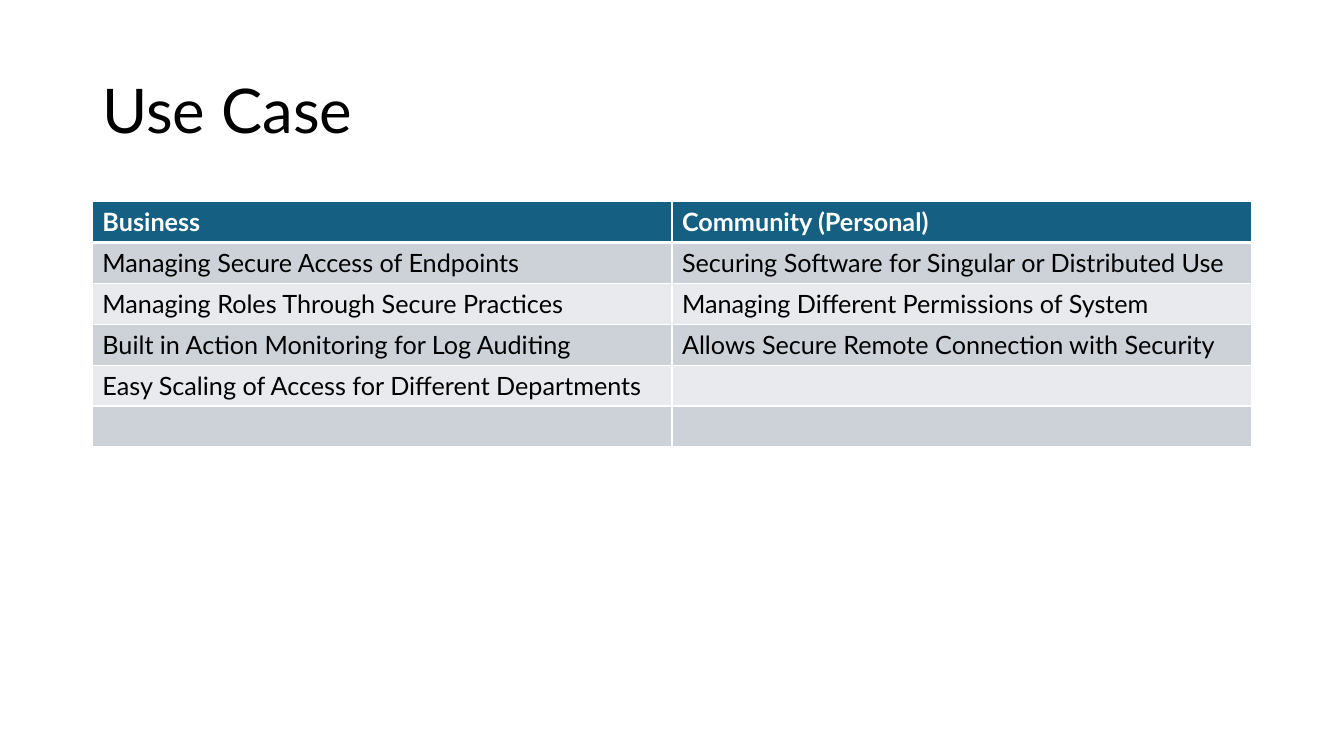
from dataclasses import dataclass

from lxml.etree import SubElement
from pptx import Presentation
from pptx.dml.color import RGBColor
from pptx.enum.text import MSO_ANCHOR, MSO_AUTO_SIZE, PP_ALIGN
from pptx.oxml.ns import qn
from pptx.slide import Slide
from pptx.table import _Cell as Cell
from pptx.text.text import _Paragraph as Paragraph
from pptx.util import Inches, Pt

PAGE_WIDTH, PAGE_HEIGHT = Inches(13.333), Inches(7.5)
LEFT, WIDTH = 0.06875, 0.8625
TITLE_TOP, TITLE_HEIGHT = 0.0533, 0.1933
TABLE_TOP, ROW_HEIGHT = 0.2667, 0.0541
FONT = "Lato"
BLACK, WHITE = "000000", "FFFFFF"


@dataclass(frozen=True)
class RowStyle:
    """Look of one kind of table row."""

    fill: str
    ink: str = BLACK
    bold: bool = False
    bottom_line: float = 1


@dataclass(frozen=True)
class UseCase:
    """One table row: a business use beside a personal one."""

    business: str = ""
    community: str = ""


HEADER = RowStyle("156082", WHITE, True, 3)
BANDS = (RowStyle("CCD2D8"), RowStyle("E8EAED"))
USE_CASES = (
    UseCase("Business", "Community (Personal)"),
    UseCase("Managing Secure Access of Endpoints", "Securing Software for Singular or Distributed Use"),
    UseCase("Managing Roles Through Secure Practices", "Managing Different Permissions of System"),
    UseCase("Built in Action Monitoring for Log Auditing", "Allows Secure Remote Connection with Security"),
    UseCase("Easy Scaling of Access for Different Departments"),
    UseCase(),
)


def color(value: str) -> RGBColor:
    """Turn a hex string into a colour."""
    return RGBColor.from_string(value)


def across(share: float) -> int:
    """Give a share of the page width as a length."""
    return round(PAGE_WIDTH * share)


def down(share: float) -> int:
    """Give a share of the page height as a length."""
    return round(PAGE_HEIGHT * share)


def add_span(para: Paragraph, text: str, size: float, ink: str, bold: bool = False) -> None:
    """Add one formatted run to a paragraph."""
    span = para.add_run()
    span.text = text
    span.font.name = FONT
    span.font.size = Pt(size)
    span.font.bold = bold
    span.font.color.rgb = color(ink)


def add_border(cell: Cell, side: str, points: float) -> None:
    """Draw a white line along one side of a cell."""
    properties = cell._tc.get_or_add_tcPr()
    line = SubElement(properties, qn(f"a:ln{side}"), w=str(Pt(points)))
    fill = SubElement(line, qn("a:solidFill"))
    SubElement(fill, qn("a:srgbClr"), val=WHITE)


def style_cell(cell: Cell, text: str, style: RowStyle, top_line: float) -> None:
    """Give a cell its borders, fill and text."""
    for side, points in (("L", 1), ("R", 1), ("T", top_line), ("B", style.bottom_line)):
        add_border(cell, side, points)
    cell.fill.solid()
    cell.fill.fore_color.rgb = color(style.fill)
    para = cell.text_frame.paragraphs[0]
    para.font.size = Pt(18)
    if text:
        add_span(para, text, 18, style.ink, style.bold)


def add_title(page: Slide, text: str) -> None:
    """Place and fill the title placeholder."""
    box = page.shapes.title
    box.left, box.top = across(LEFT), down(TITLE_TOP)
    box.width, box.height = across(WIDTH), down(TITLE_HEIGHT)
    frame = box.text_frame
    frame.auto_size = MSO_AUTO_SIZE.NONE
    frame.vertical_anchor = MSO_ANCHOR.MIDDLE
    para = frame.paragraphs[0]
    para.alignment = PP_ALIGN.LEFT
    para.line_spacing = 0.9
    add_span(para, text, 44, BLACK)


def add_use_cases(page: Slide, cases: tuple[UseCase, ...]) -> None:
    """Add the table with a header and banded rows."""
    table = page.shapes.add_table(
        len(cases), 2, across(LEFT), down(TABLE_TOP),
        across(WIDTH), down(ROW_HEIGHT * len(cases)),
    ).table
    top_line = 1
    for index, case in enumerate(cases):
        style = BANDS[(index - 1) % 2] if index else HEADER
        for cell, text in zip(table.rows[index].cells, (case.business, case.community)):
            style_cell(cell, text, style, top_line)
        top_line = style.bottom_line


def main() -> None:
    """Build and save the deck."""
    deck = Presentation()
    deck.slide_width, deck.slide_height = PAGE_WIDTH, PAGE_HEIGHT
    page = deck.slides.add_slide(deck.slide_layouts.get_by_name("Title Only"))
    page.background.fill.solid()
    page.background.fill.fore_color.rgb = color(WHITE)
    add_title(page, "Use Case")
    add_use_cases(page, USE_CASES)
    deck.save("out.pptx")


if __name__ == "__main__":
    main()
